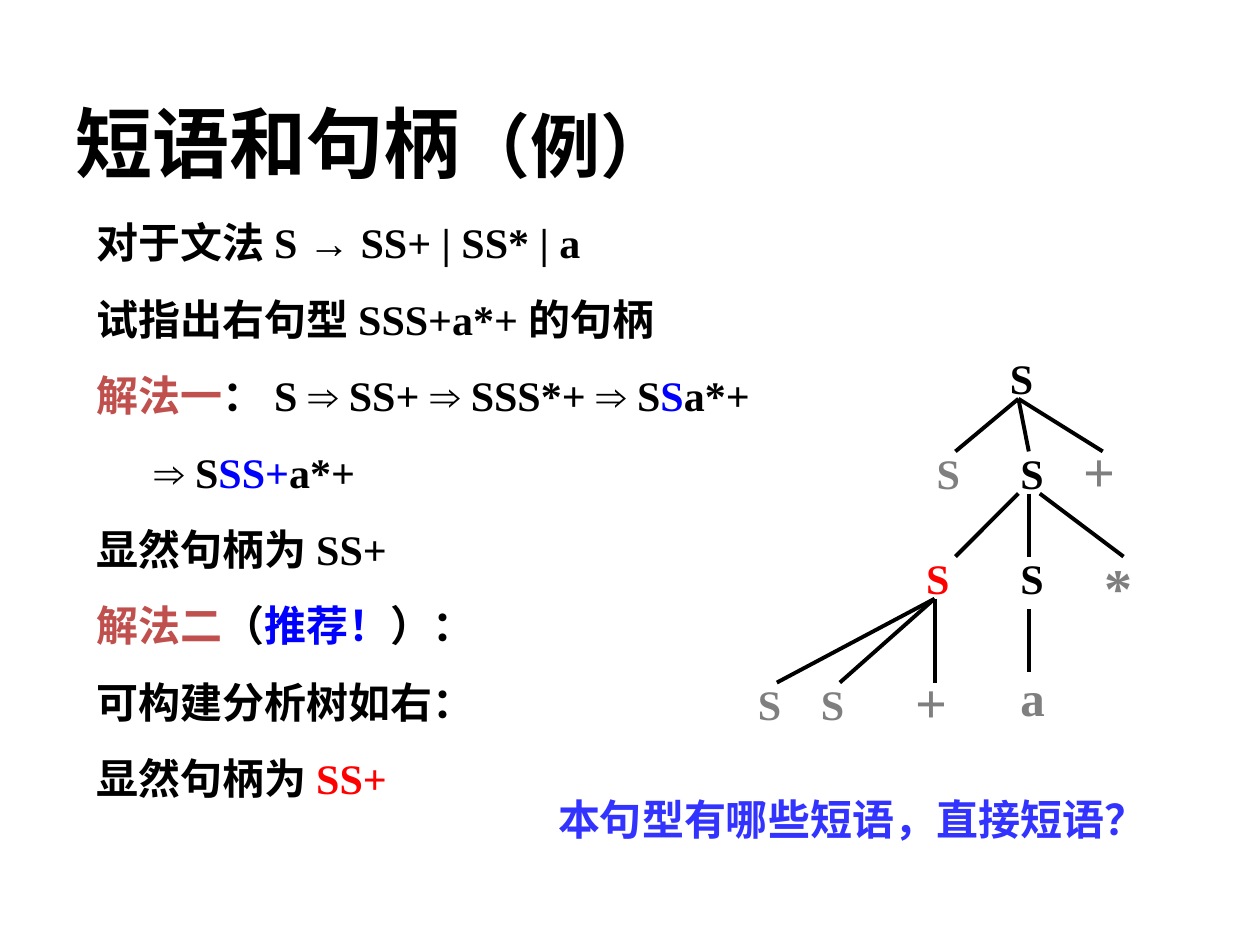
from dataclasses import dataclass

from lxml import etree
from pptx import Presentation
from pptx.dml.color import RGBColor
from pptx.enum.shapes import MSO_CONNECTOR
from pptx.enum.text import MSO_ANCHOR
from pptx.oxml.ns import qn
from pptx.util import Cm, Pt

STRAIGHT = MSO_CONNECTOR.STRAIGHT
TOP, MIDDLE = MSO_ANCHOR.TOP, MSO_ANCHOR.MIDDLE


@dataclass(frozen=True)
class Theme:
    cjk: str = "Noto Sans CJK SC"
    latin: str = "Times New Roman"
    symbol: str = "Arial"
    ink: str = "000000"
    muted: str = "7F7F7F"
    label: str = "C0504D"
    accent: str = "0000FF"
    handle: str = "FF0000"
    question: str = "3333FF"
    title: int = 44
    subtitle: int = 40
    body: int = 24
    leaf: int = 28
    operator: int = 32
    gap: int = 15
    branch: float = 2.25


THEME = Theme()


class Slide:
    def __init__(self, theme):
        self.theme = theme
        self.deck = Presentation()
        self.deck.slide_width, self.deck.slide_height = Cm(25.4), Cm(19.05)
        self.slide = self.deck.slides.add_slide(self.deck.slide_layouts[6])

    def run(self, paragraph, text, font=None, color=None, size=None):
        theme = self.theme
        run = paragraph.add_run()
        run.text = text
        run.font.size = Pt(size or theme.body)
        run.font.bold = True
        run.font.color.rgb = RGBColor.from_string(color or theme.ink)
        run.font.name = font or theme.latin
        east_asian = etree.SubElement(run._r.get_or_add_rPr(), qn("a:ea"))
        east_asian.set("typeface", theme.cjk)

    def text(self, left, top, width, height, paragraphs, anchor=TOP, wrap=True, hanging=0):
        """Place paragraphs, each a list of (text, font, color, size) runs."""
        box = self.slide.shapes.add_textbox(Cm(left), Cm(top), Cm(width), Cm(height))
        frame = box.text_frame
        frame.word_wrap = wrap
        frame.vertical_anchor = anchor
        for index, runs in enumerate(paragraphs):
            paragraph = frame.add_paragraph() if index else frame.paragraphs[0]
            if index:
                paragraph.space_before = Pt(self.theme.gap)
            if hanging:
                properties = paragraph._p.get_or_add_pPr()
                properties.set("marL", str(Cm(hanging)))
                properties.set("indent", str(-Cm(hanging)))
            for run in runs:
                self.run(paragraph, *run)

    def node(self, left, top, symbol, color, size):
        self.text(left, top, 1.06, 1.27, [[(symbol, None, color, size)]])

    def branch(self, start, end):
        line = self.slide.shapes.add_connector(STRAIGHT, *map(Cm, start + end))
        line.line.color.rgb = RGBColor.from_string(self.theme.ink)
        line.line.width = Pt(self.theme.branch)
        etree.SubElement(line._element.spPr, qn("a:effectLst"))

    def save(self):
        self.deck.save("out.pptx")


def main():
    t = THEME
    page = Slide(t)
    page.text(1.27, 1.78, 22.86, 2.16, [[
        ("短语和句柄", t.cjk, t.ink, t.title),
        ("（例）", t.cjk, t.ink, t.subtitle),
    ]], anchor=MIDDLE)

    arrow = ("⇒", t.symbol)
    page.text(1.7, 4.24, 15.88, 13.13, [
        [("对于文法", t.cjk), (" S ",), ("→", t.symbol), (" SS+ | SS* | a",)],
        [("试指出右句型", t.cjk), (" SSS+a*+ ",), ("的句柄", t.cjk)],
        [("解法一", t.cjk, t.label), ("：", t.cjk), (" S ",), arrow, (" SS+ ",), arrow,
         (" SSS*+ ",), arrow, (" S",), ("S", t.latin, t.accent), ("a*+",)],
        [("\t ",), arrow, (" S",), ("SS+", t.latin, t.accent), ("a*+",)],
        [("显然句柄为", t.cjk), (" SS+",)],
        [("解法二", t.cjk, t.label), ("（", t.cjk), ("推荐！", t.cjk, t.accent), ("）：", t.cjk)],
        [("可构建分析树如右：", t.cjk)],
        [("显然句柄为", t.cjk), (" SS+", t.latin, t.handle)],
    ], hanging=0.95)

    for left, top, symbol, color, size in (
        (20.11, 6.99, "S", t.ink, t.body),
        (18.63, 8.89, "S", t.muted, t.body),
        (20.32, 8.89, "S", t.ink, t.body),
        (21.59, 8.68, "+", t.muted, t.operator),
        (18.42, 11.01, "S", t.handle, t.body),
        (20.32, 11.01, "S", t.ink, t.body),
        (22.01, 11.01, "*", t.muted, t.operator),
        (15.03, 13.55, "S", t.muted, t.body),
        (16.3, 13.55, "S", t.muted, t.body),
        (18.2, 13.34, "+", t.muted, t.operator),
        (20.32, 13.34, "a", t.muted, t.leaf),
    ):
        page.node(left, top, symbol, color, size)

    root, handle = (20.53, 8.04), (18.84, 12.07)
    for parent, children in (
        (root, ((19.26, 9.1), (20.74, 9.1), (22.23, 9.1))),
        (handle, ((15.66, 13.76), (16.93, 13.76), (18.84, 13.76))),
        ((20.53, 9.95), ((19.26, 11.22),)),
        ((20.74, 9.95), ((20.74, 11.22),)),
        ((20.96, 9.95), ((22.65, 11.22),)),
        ((20.74, 12.28), ((20.74, 13.55),)),
    ):
        for child in children:
            page.branch(parent, child)

    page.text(11, 15.88, 13.55, 1.27, [[("本句型有哪些短语，直接短语？", t.latin, t.question)]])
    page.save()


if __name__ == "__main__":
    main()
